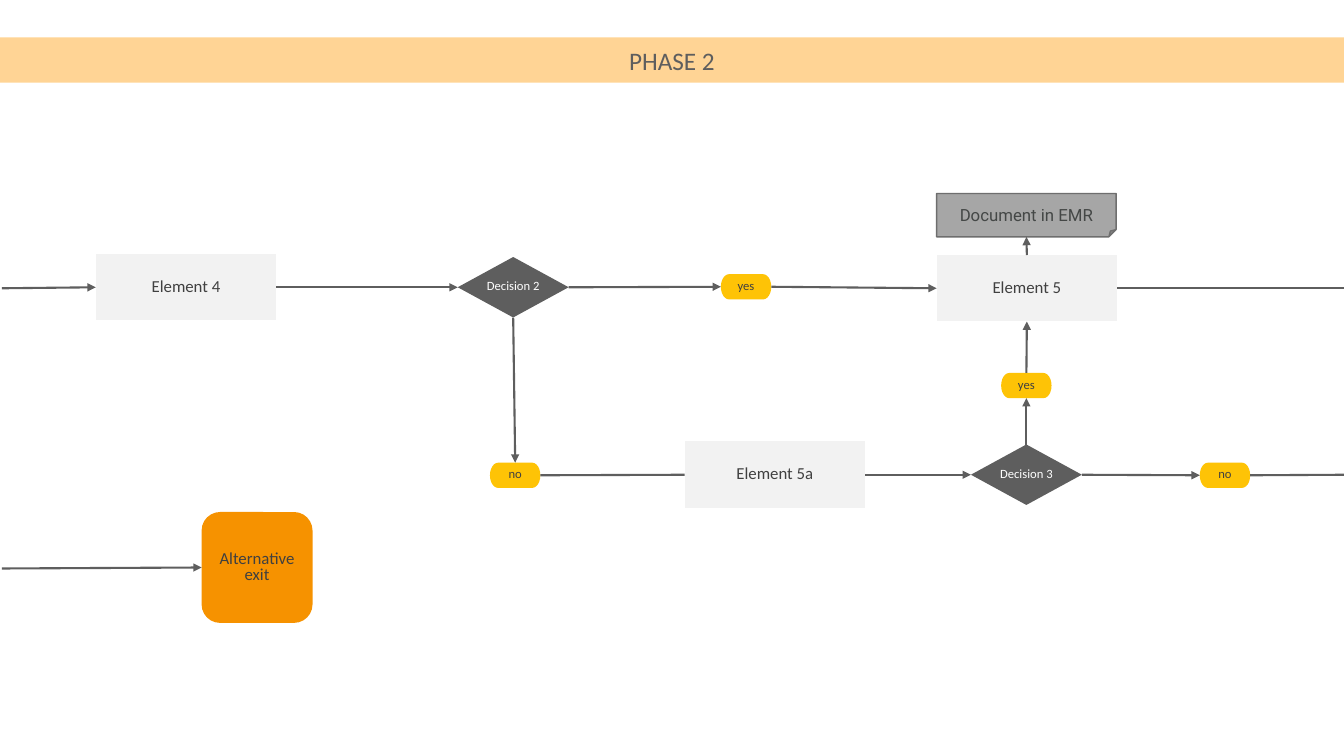
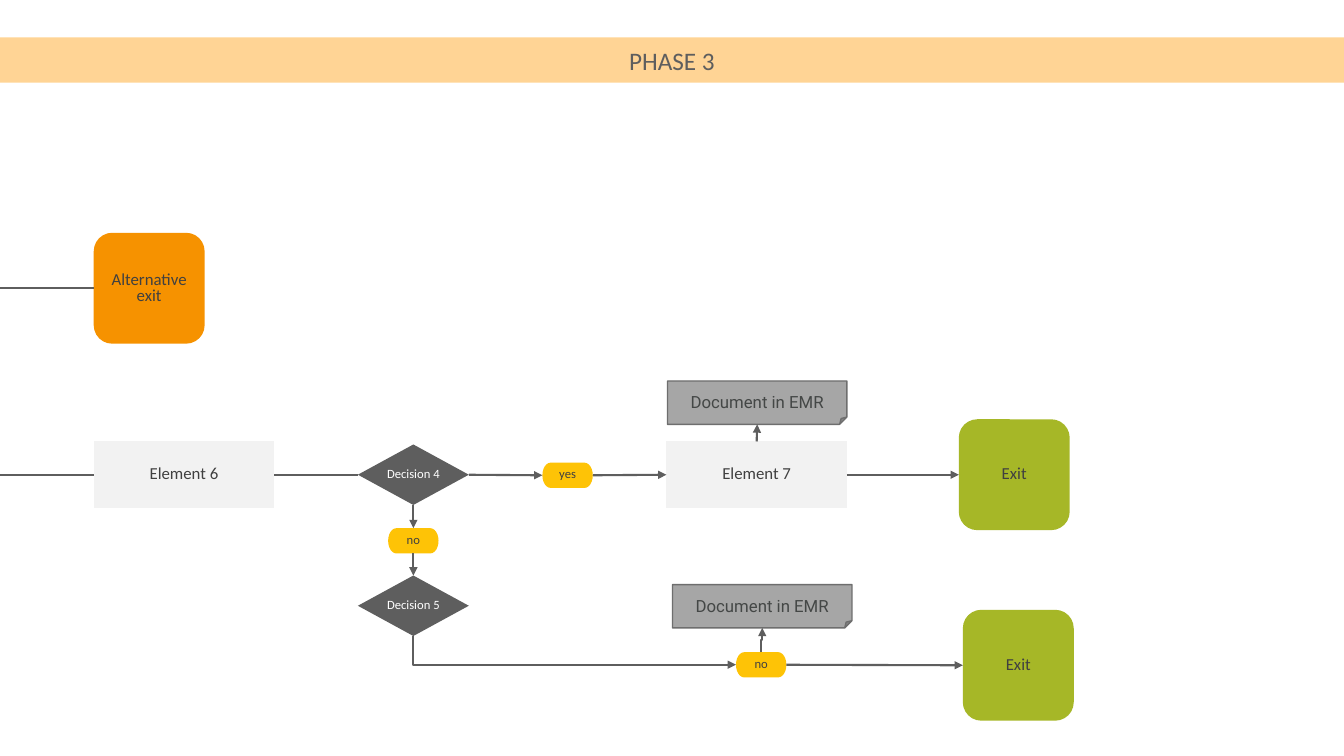
from dataclasses import dataclass
from typing import NamedTuple, Optional, Union

from lxml import etree
from pptx import Presentation
from pptx.dml.color import RGBColor
from pptx.enum.shapes import MSO_CONNECTOR, MSO_SHAPE
from pptx.enum.text import MSO_ANCHOR, MSO_AUTO_SIZE, PP_ALIGN
from pptx.oxml.ns import qn
from pptx.presentation import Presentation as Deck
from pptx.shapes.autoshape import Shape
from pptx.shapes.connector import Connector
from pptx.slide import Slide
from pptx.util import Inches, Pt

STRAIGHT, ELBOW = MSO_CONNECTOR.STRAIGHT, MSO_CONNECTOR.ELBOW
MIDDLE = MSO_ANCHOR.MIDDLE
CENTER = PP_ALIGN.CENTER
NO_FIT = MSO_AUTO_SIZE.NONE
TOP, LEFT, BOTTOM, RIGHT = range(4)

WHITE = RGBColor(0xFF, 0xFF, 0xFF)
LIGHT_GREY = RGBColor(0xF2, 0xF2, 0xF2)
MID_GREY = RGBColor(0xA6, 0xA6, 0xA6)
EDGE_GREY = RGBColor(0x6E, 0x6E, 0x6E)
DARK_GREY = RGBColor(0x5E, 0x5E, 0x5E)
TEXT_GREY = RGBColor(0x40, 0x40, 0x40)
NOTE_GREY = RGBColor(0x44, 0x47, 0x46)
PEACH = RGBColor(0xFF, 0xD4, 0x95)
YELLOW = RGBColor(0xFE, 0xC3, 0x06)
ORANGE = RGBColor(0xF6, 0x92, 0x00)
GREEN = RGBColor(0xA6, 0xB7, 0x27)

SLIDE_W, SLIDE_H = 13.33, 7.5
BAND_TOP, BAND_H = 0.37, 0.45


@dataclass(frozen=True)
class Kind:
    geometry: MSO_SHAPE
    width: float
    height: float
    fill: RGBColor
    size: int = 12
    color: RGBColor = TEXT_GREY
    font: str = "Calibri"
    side_inset: float = 0.05
    top_inset: float = 0.05
    bottom_inset: float = 0.05
    outline: Optional[RGBColor] = None


PROCESS = Kind(MSO_SHAPE.FLOWCHART_PROCESS, 1.79, 0.66, LIGHT_GREY)
DECISION = Kind(MSO_SHAPE.FLOWCHART_DECISION, 1.1, 0.6, DARK_GREY, 9, WHITE, side_inset=0)
ANSWER = Kind(MSO_SHAPE.FLOWCHART_TERMINATOR, 0.5, 0.25, YELLOW, 9, side_inset=0)
ALTERNATIVE = Kind(MSO_SHAPE.FLOWCHART_ALTERNATE_PROCESS, 1.1, 1.1, ORANGE)
EXIT = Kind(MSO_SHAPE.FLOWCHART_ALTERNATE_PROCESS, 1.1, 1.1, GREEN)
DOCUMENT = Kind(MSO_SHAPE.FOLDED_CORNER, 1.78, 0.43, MID_GREY, color=NOTE_GREY,
                font="Roboto", top_inset=0.1, bottom_inset=0, outline=EDGE_GREY)


class Node(NamedTuple):
    kind: Kind
    text: str
    x: float
    y: float


class Point(NamedTuple):
    x: float
    y: float


class Side(NamedTuple):
    node: str
    site: int


class Bend(NamedTuple):
    preset: str
    degrees: int
    flip_v: bool


CORNER = Bend("bentConnector2", 270, False)
JOG = Bend("bentConnector3", 90, True)


class Link(NamedTuple):
    start: Union[Point, Side]
    end: Union[Point, Side]
    arrow: bool = True
    bend: Optional[Bend] = None


class Phase(NamedTuple):
    title: str
    nodes: dict[str, Node]
    links: list[Link]


PHASES = [
    Phase(
        "PHASE 2",
        {
            "element 4": Node(PROCESS, "Element 4", 0.95, 2.52),
            "element 5": Node(PROCESS, "Element 5", 9.29, 2.53),
            "element 5a": Node(PROCESS, "Element 5a", 6.79, 4.38),
            "decision 2": Node(DECISION, "Decision 2", 4.54, 2.55),
            "decision 3": Node(DECISION, "Decision 3", 9.63, 4.41),
            "yes 2": Node(ANSWER, "yes", 7.15, 2.72),
            "no 2": Node(ANSWER, "no", 4.86, 4.59),
            "yes 3": Node(ANSWER, "yes", 9.93, 3.7),
            "no 3": Node(ANSWER, "no", 11.9, 4.59),
            "alternative": Node(ALTERNATIVE, "Alternative exit", 2, 5.08),
            "document": Node(DOCUMENT, "Document in EMR", 9.29, 1.92),
        },
        [
            Link(Point(0.02, 2.86), Side("element 4", LEFT)),
            Link(Side("element 4", RIGHT), Side("decision 2", LEFT)),
            Link(Side("decision 2", RIGHT), Side("yes 2", LEFT)),
            Link(Side("yes 2", RIGHT), Side("element 5", LEFT)),
            Link(Side("element 5", RIGHT), Point(SLIDE_W, 2.86), arrow=False),
            Link(Side("element 5", TOP), Side("document", BOTTOM)),
            Link(Side("decision 2", BOTTOM), Side("no 2", TOP)),
            Link(Side("no 2", RIGHT), Side("element 5a", LEFT), arrow=False),
            Link(Side("element 5a", RIGHT), Side("decision 3", LEFT)),
            Link(Side("decision 3", TOP), Side("yes 3", BOTTOM)),
            Link(Side("yes 3", TOP), Side("element 5", BOTTOM)),
            Link(Side("decision 3", RIGHT), Side("no 3", LEFT)),
            Link(Side("no 3", RIGHT), Point(SLIDE_W, 4.71), arrow=False),
            Link(Point(0.02, 5.64), Side("alternative", LEFT)),
        ],
    ),
    Phase(
        "PHASE 3",
        {
            "alternative": Node(ALTERNATIVE, "Alternative exit", 0.93, 2.31),
            "element 6": Node(PROCESS, "Element 6", 0.93, 4.38),
            "element 7": Node(PROCESS, "Element 7", 6.61, 4.38),
            "decision 4": Node(DECISION, "Decision 4", 3.55, 4.41),
            "decision 5": Node(DECISION, "Decision 5", 3.55, 5.71),
            "yes 4": Node(ANSWER, "yes", 5.38, 4.59),
            "no 4": Node(ANSWER, "no", 3.85, 5.24),
            "no 5": Node(ANSWER, "no", 7.3, 6.47),
            "document 7": Node(DOCUMENT, "Document in EMR", 6.62, 3.78),
            "document 5": Node(DOCUMENT, "Document in EMR", 6.67, 5.8),
            "exit 7": Node(EXIT, "Exit", 9.51, 4.16),
            "exit 5": Node(EXIT, "Exit", 9.55, 6.05),
        },
        [
            Link(Point(0, 2.86), Side("alternative", LEFT), arrow=False),
            Link(Point(0, 4.71), Side("element 6", LEFT), arrow=False),
            Link(Side("element 6", RIGHT), Side("decision 4", LEFT), arrow=False),
            Link(Side("decision 4", RIGHT), Side("yes 4", LEFT)),
            Link(Side("yes 4", RIGHT), Side("element 7", LEFT)),
            Link(Side("element 7", TOP), Side("document 7", BOTTOM)),
            Link(Side("element 7", RIGHT), Side("exit 7", LEFT)),
            Link(Side("decision 4", BOTTOM), Side("no 4", TOP)),
            Link(Side("no 4", BOTTOM), Side("decision 5", TOP)),
            Link(Side("decision 5", BOTTOM), Side("no 5", LEFT), bend=CORNER),
            Link(Side("no 5", TOP), Side("document 5", BOTTOM), bend=JOG),
            Link(Side("no 5", RIGHT), Side("exit 5", LEFT)),
        ],
    ),
]


def write(sp: Shape, text: str, font: str, size: int, color: RGBColor) -> None:
    tf = sp.text_frame
    tf.word_wrap = True
    tf.auto_size = NO_FIT
    tf.vertical_anchor = MIDDLE
    tf.text = text
    p = tf.paragraphs[0]
    p.alignment = CENTER
    p.font.name = font
    p.font.size = Pt(size)
    p.font.color.rgb = color


def add_band(s: Slide, title: str) -> None:
    sp = s.shapes.title
    sp.left, sp.top = Inches(0), Inches(BAND_TOP)
    sp.width, sp.height = Inches(SLIDE_W), Inches(BAND_H)
    sp.fill.solid()
    sp.fill.fore_color.rgb = PEACH
    write(sp, title, "Calibri", 18, DARK_GREY)


def add_node(s: Slide, node: Node) -> Shape:
    kind = node.kind
    sp = s.shapes.add_shape(kind.geometry, Inches(node.x), Inches(node.y),
                            Inches(kind.width), Inches(kind.height))
    sp.shadow.inherit = False
    sp.fill.solid()
    sp.fill.fore_color.rgb = kind.fill
    if kind.outline is None:
        sp.line.fill.background()
    else:
        sp.line.color.rgb = kind.outline
        sp.line.width = Pt(1)
    write(sp, node.text, kind.font, kind.size, kind.color)
    tf = sp.text_frame
    tf.margin_left = tf.margin_right = Inches(kind.side_inset)
    tf.margin_top = Inches(kind.top_inset)
    tf.margin_bottom = Inches(kind.bottom_inset)
    tf.paragraphs[0].line_spacing = 0.8
    return sp


def turn(c: Connector, bend: Bend) -> None:
    left, top, width, height = c.left, c.top, c.width, c.height
    c.left = left + (width - height) // 2
    c.top = top + (height - width) // 2
    c.width, c.height = height, width
    xfrm = c.element.spPr.find(qn("a:xfrm"))
    xfrm.set("rot", str(bend.degrees * 60000))
    xfrm.set("flipH", "1")
    xfrm.set("flipV", str(int(bend.flip_v)))
    c.element.spPr.find(qn("a:prstGeom")).set("prst", bend.preset)


def add_link(s: Slide, link: Link, shapes: dict[str, Shape]) -> None:
    ends = [Point(0, 0) if isinstance(end, Side) else end
            for end in (link.start, link.end)]
    c = s.shapes.add_connector(ELBOW if link.bend else STRAIGHT,
                               *(Inches(v) for end in ends for v in end))
    if isinstance(link.start, Side):
        c.begin_connect(shapes[link.start.node], link.start.site)
    if isinstance(link.end, Side):
        c.end_connect(shapes[link.end.node], link.end.site)
    if link.bend:
        turn(c, link.bend)
    c.line.color.rgb = DARK_GREY
    c.line.width = Pt(1.5)
    props = c.element.spPr
    if link.arrow:
        etree.SubElement(props.find(qn("a:ln")), qn("a:tailEnd"), type="triangle")
    etree.SubElement(props, qn("a:effectLst"))


def add_phase(prs: Deck, phase: Phase) -> None:
    s = prs.slides.add_slide(prs.slide_layouts.get_by_name("Title Only"))
    add_band(s, phase.title)
    shapes = {key: add_node(s, node) for key, node in phase.nodes.items()}
    for link in phase.links:
        add_link(s, link, shapes)


def main() -> None:
    prs = Presentation()
    prs.slide_width, prs.slide_height = Inches(SLIDE_W), Inches(SLIDE_H)
    for phase in PHASES:
        add_phase(prs, phase)
    prs.save("out.pptx")


if __name__ == "__main__":
    main()
